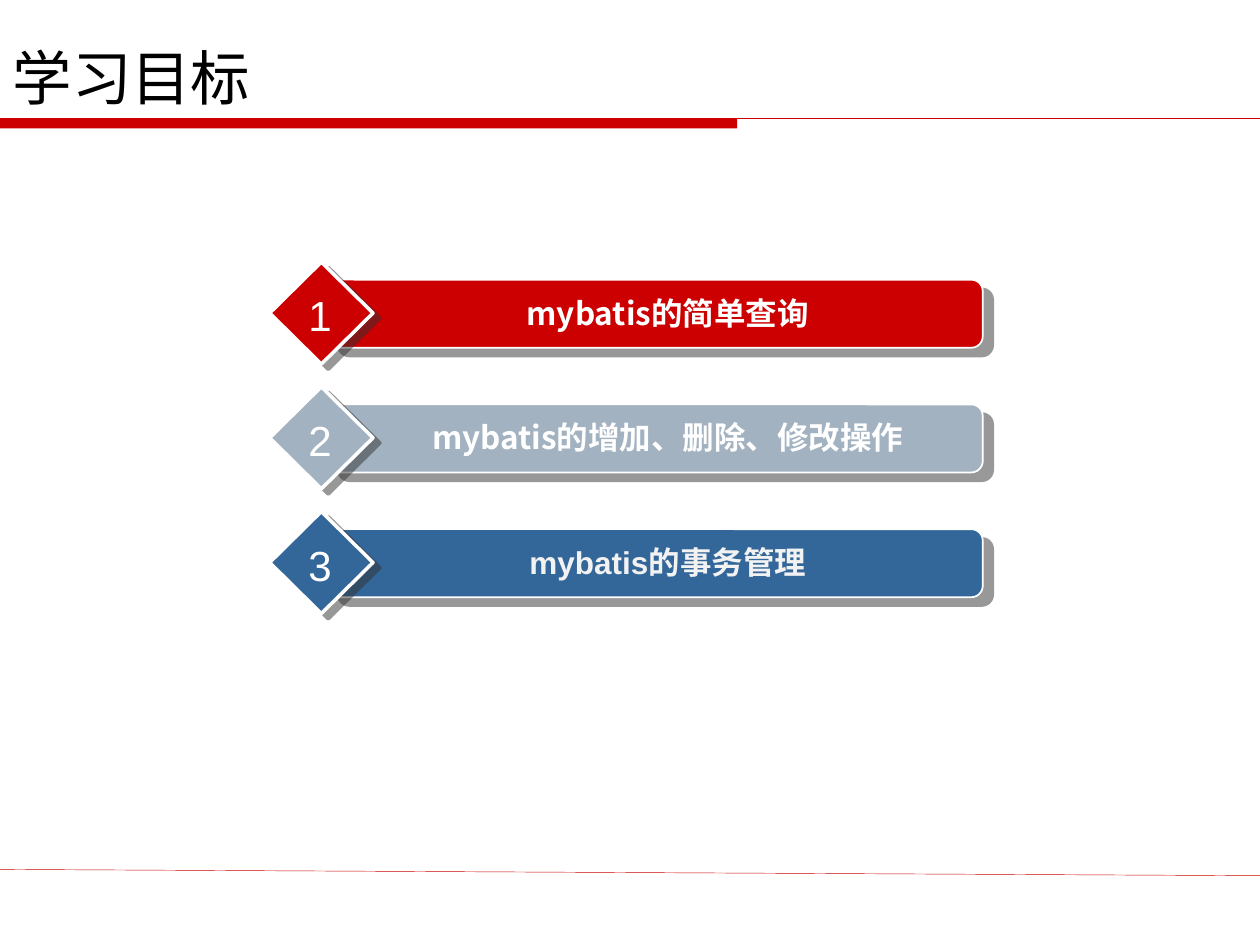
import lxml.etree
import pptx
import pptx.dml.color
import pptx.enum.shapes
import pptx.enum.text
import pptx.oxml.ns
import pptx.util

Inches = pptx.util.Inches
Pt = pptx.util.Pt
RGBColor = pptx.dml.color.RGBColor
Shape = pptx.enum.shapes.MSO_SHAPE
Align = pptx.enum.text.PP_ALIGN
Anchor = pptx.enum.text.MSO_ANCHOR
Fit = pptx.enum.text.MSO_AUTO_SIZE
qn = pptx.oxml.ns.qn

RED = RGBColor(0xCC, 0x00, 0x00)
GREY = RGBColor(0xA3, 0xB2, 0xC1)
BLUE = RGBColor(0x33, 0x66, 0x99)
WHITE = RGBColor(0xFF, 0xFF, 0xFF)
PALE = RGBColor(0xF2, 0xF2, 0xF2)
BLACK = RGBColor(0x00, 0x00, 0x00)
SHADE = RGBColor(0x33, 0x33, 0x33)

CJK = "Noto Sans CJK SC"
STEP = 0.99  # from one goal to the next

# Wording, bar colour, font and text colour of each goal
GOALS = [
    ("mybatis的简单查询", RED, CJK, WHITE),
    ("mybatis的增加、删除、修改操作", GREY, CJK, WHITE),
    ("mybatis的事务管理", BLUE, "Arial", PALE),
]


def put(item, values):
    for name, value in values.items():
        setattr(item, name, value)


def box(left, top, width, height):
    return [Inches(n) for n in (left, top, width, height)]


def write(frame, text, color, align, **font):
    para = frame.paragraphs[0]
    para.alignment = align
    run = para.add_run()
    run.text = text
    put(run.font, font)
    run.font.color.rgb = color
    east = lxml.etree.Element(qn("a:ea"), typeface=CJK)
    run.font._element.find(qn("a:latin")).addnext(east)


def shade(shape, dist, angle):
    effect = shape._element.spPr.find(qn("a:effectLst"))
    outer = lxml.etree.SubElement(
        effect, qn("a:outerShdw"), blurRad="0", dist=str(Pt(dist)),
        dir=str(angle * 60000), algn="ctr", rotWithShape="0")
    color = lxml.etree.SubElement(outer, qn("a:srgbClr"), val=str(SHADE))
    lxml.etree.SubElement(color, qn("a:alpha"), val="50000")


def add_solid(shapes, kind, place, fill, edge=None):
    shape = shapes.add_shape(kind, *box(*place))
    shape.shadow.inherit = False
    shape.fill.solid()
    shape.fill.fore_color.rgb = fill
    if edge:
        shape.line.color.rgb = WHITE
        shape.line.width = Pt(edge)
    else:
        shape.line.fill.background()
    return shape


def add_line(shapes, start, end, width):
    line = shapes.add_connector(
        pptx.enum.shapes.MSO_CONNECTOR.STRAIGHT,
        *[Inches(n) for n in start + end])
    line.line.color.rgb = RED
    line.line.width = Pt(width)
    lxml.etree.SubElement(line._element.spPr, qn("a:effectLst"))


def add_text(shapes, place, text, color, wrap, **font):
    frame = shapes.add_textbox(*box(*place)).text_frame
    put(frame, {
        "word_wrap": wrap, "auto_size": Fit.SHAPE_TO_FIT_TEXT,
        "margin_left": Inches(0.07), "margin_right": Inches(0.07),
        "margin_top": Inches(0.04), "margin_bottom": Inches(0.04),
    })
    write(frame, text, color, Align.CENTER, **font)


def add_title(slide, text):
    title = slide.shapes.title
    put(title, dict(zip(("left", "top", "width", "height"),
                        box(0, 0, 10, 0.94))))
    put(title.text_frame, {"vertical_anchor": Anchor.BOTTOM,
                           "auto_size": Fit.NONE, "word_wrap": True})
    write(title.text_frame, text, BLACK, Align.LEFT,
          name="DejaVu Sans", size=Pt(34), bold=False)


def add_goal(slide, index, text, fill, face, color):
    shapes = slide.shapes.add_group_shape().shapes
    drop = index * STEP
    bar = add_solid(shapes, Shape.ROUNDED_RECTANGLE,
                    (2.6, 2.22 + drop, 5.2, 0.54), fill, 1)
    shade(bar, 7.8, 40)
    gem = add_solid(shapes, Shape.DIAMOND,
                    (2.14, 2.08 + drop, 0.82, 0.81), fill, 2)
    shade(gem, 5, 37)
    add_text(shapes, (2.87, 2.29 + drop, 4.86, 0.38), text, color, True,
             name=face, size=Pt(18), bold=True)
    add_text(shapes, (2.37, 2.26 + drop, 0.34, 0.48), str(index + 1), WHITE,
             False, name="Arial", size=Pt(24))


def main():
    deck = pptx.Presentation()
    put(deck, {"slide_width": Inches(10), "slide_height": Inches(7.5)})
    slide = deck.slides.add_slide(deck.slide_layouts[5])

    # Title band and foot rule
    add_solid(slide.shapes, Shape.RECTANGLE, (0, 0.94, 5.85, 0.08), RED)
    add_line(slide.shapes, (0, 0.94), (10, 0.94), 0.75)
    add_line(slide.shapes, (0, 6.9), (10, 6.95), 0.25)
    add_title(slide, "学习目标")

    # Numbered goals
    for index, goal in enumerate(GOALS):
        add_goal(slide, index, *goal)

    deck.save("out.pptx")


if __name__ == "__main__":
    main()
